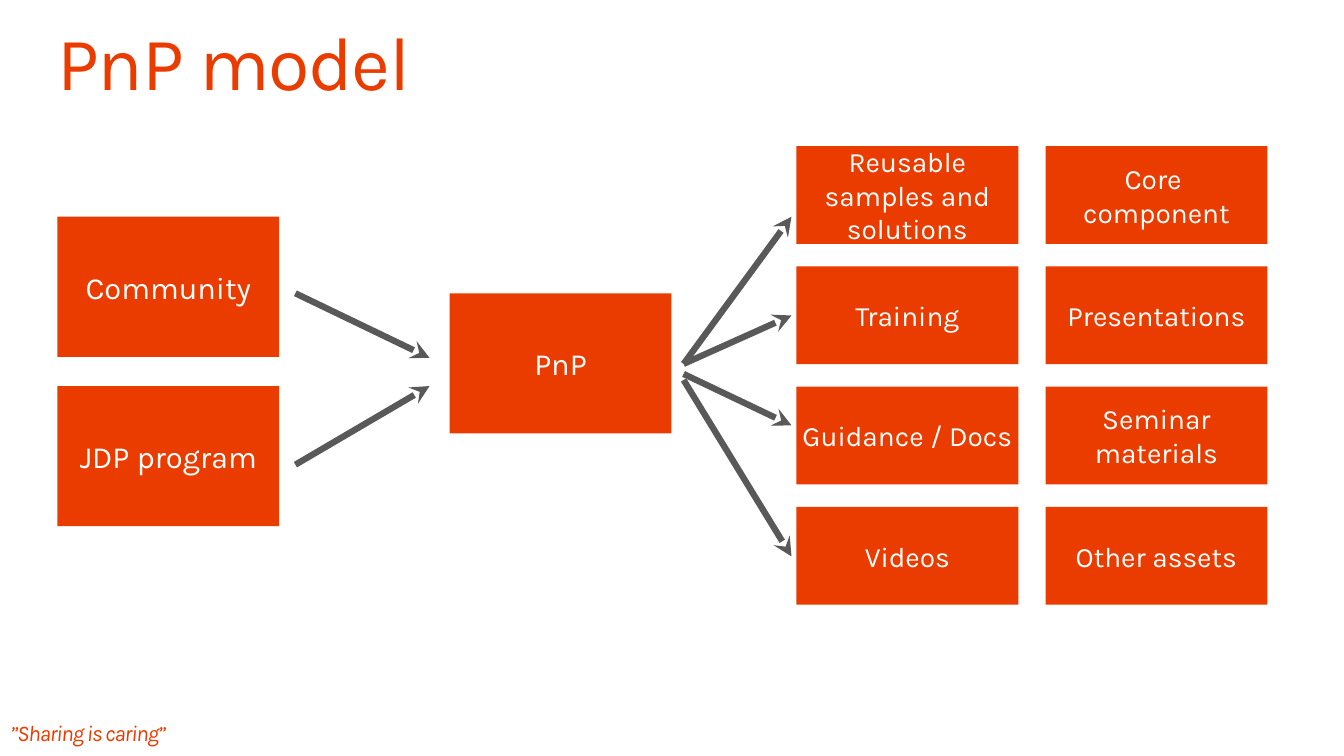
import pptx
import pptx.dml.color
import pptx.enum.shapes
import pptx.enum.text
import pptx.oxml.ns
import pptx.util
from pptx.util import Inches

ORANGE, GRAY, WHITE = "EB3C00", "595959", "FFFFFF"


def color(hex_text):
    return pptx.dml.color.RGBColor.from_string(hex_text)


class ModelSlide:
    font = "Karla"

    def __init__(self, deck):
        self.page = deck.slides.add_slide(deck.slide_layouts[5])

    def set_text(self, shape, text, size, ink, align, anchor, inset=0.0,
                 wrap=True, italic=False, spacing=0):
        frame = shape.text_frame
        frame.text = text
        frame.word_wrap = wrap
        frame.auto_size = pptx.enum.text.MSO_AUTO_SIZE.NONE
        frame.vertical_anchor = anchor
        frame.margin_left = frame.margin_right = Inches(inset)
        frame.margin_top = frame.margin_bottom = Inches(inset)
        para = frame.paragraphs[0]
        para.alignment = align
        for span in para.runs:
            span.font.name = self.font
            span.font.size = pptx.util.Pt(size)
            span.font.italic = italic
            span.font.color.rgb = color(ink)
            if spacing:
                span._r.get_or_add_rPr().set("spc", str(round(spacing * 100)))
        return para

    def title(self, text, left, top, width, height):
        title = self.page.shapes.title
        title.left, title.top = Inches(left), Inches(top)
        title.width, title.height = Inches(width), Inches(height)
        para = self.set_text(title, text, 54, ORANGE,
                             pptx.enum.text.PP_ALIGN.LEFT,
                             pptx.enum.text.MSO_ANCHOR.TOP, spacing=-1)
        para.line_spacing = 0.9

    def motto(self, text, left, top, width, height):
        box = self.page.shapes.add_textbox(
            Inches(left), Inches(top), Inches(width), Inches(height))
        self.set_text(box, text, 16, ORANGE, pptx.enum.text.PP_ALIGN.LEFT,
                      pptx.enum.text.MSO_ANCHOR.TOP, wrap=False, italic=True,
                      spacing=-0.7)

    def block(self, text, left, top, height, size):
        box = self.page.shapes.add_shape(
            pptx.enum.shapes.MSO_SHAPE.RECTANGLE,
            Inches(left), Inches(top), Inches(2.2), Inches(height))
        box.shadow.inherit = False
        box.fill.solid()
        box.fill.fore_color.rgb = color(ORANGE)
        box.line.fill.background()
        self.set_text(box, text, size, WHITE, pptx.enum.text.PP_ALIGN.CENTER,
                      pptx.enum.text.MSO_ANCHOR.MIDDLE, inset=0.05)

    def arrow(self, x1, y1, x2, y2):
        arrow = self.page.shapes.add_connector(
            pptx.enum.shapes.MSO_CONNECTOR.STRAIGHT,
            Inches(x1), Inches(y1), Inches(x2), Inches(y2))
        arrow.line.color.rgb = color(GRAY)
        arrow.line.width = pptx.util.Pt(4.5)
        properties = arrow._element.spPr
        line = properties.find(pptx.oxml.ns.qn("a:ln"))
        line.append(line.makeelement(
            pptx.oxml.ns.qn("a:tailEnd"), {"type": "stealth"}))
        properties.append(properties.makeelement(
            pptx.oxml.ns.qn("a:effectLst"), {}))


def main():
    deck = pptx.Presentation()
    deck.slide_width, deck.slide_height = Inches(13.33), Inches(7.5)
    slide = ModelSlide(deck)
    slide.motto("”Sharing is caring”", 0.1, 7.13, 1.61, 0.27)
    slide.title("PnP model", 0.57, 0.25, 12.19, 0.82)

    # Inputs and the hub
    for text, left, top in (("Community", 0.57, 2.15),
                            ("JDP program", 0.57, 3.83),
                            ("PnP", 4.46, 2.91)):
        slide.block(text, left, top, 1.39, 22)

    # Grid of outputs
    outputs = (("Reusable samples and solutions", "Core \vcomponent"),
               ("Training", "Presentations"),
               ("Guidance / Docs", "Seminar materials"),
               ("Videos", "Other assets"))
    first_top, last_top = 1.45, 5.03
    step = (last_top - first_top) / (len(outputs) - 1)
    for row, texts in enumerate(outputs):
        for column, text in enumerate(texts):
            slide.block(text, 7.9 + 2.47 * column, first_top + step * row, 0.97, 20)

    # Arrows into the hub, then out to the outputs
    for start, end in ((2.91, 3.55), (4.61, 3.83)):
        slide.arrow(2.93, start, 4.26, end)
    for start, end in ((3.61, 2.15), (3.61, 3.13), (3.71, 4.22), (3.77, 5.52)):
        slide.arrow(6.78, start, 7.85, end)

    deck.save("out.pptx")


if __name__ == "__main__":
    main()
